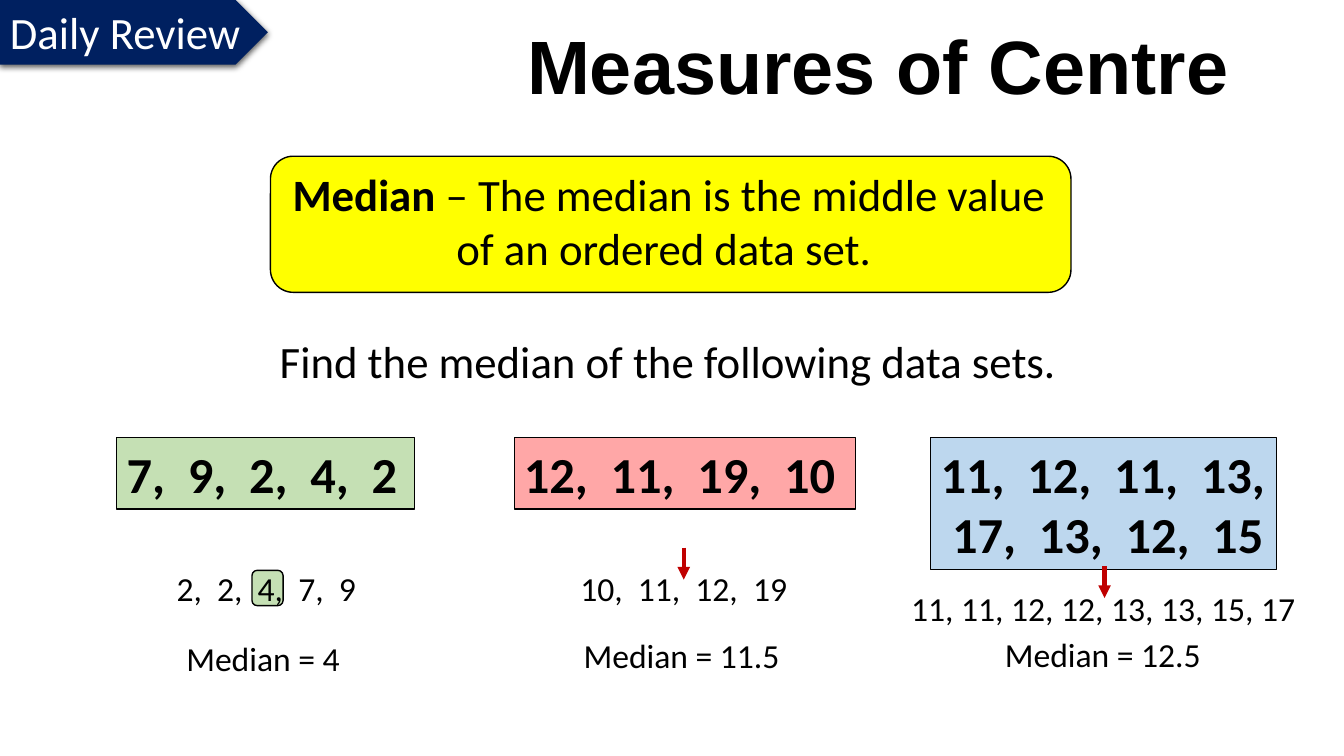
from lxml import etree
from pptx import Presentation
from pptx.dml.color import RGBColor
from pptx.enum.shapes import MSO_CONNECTOR, MSO_SHAPE
from pptx.enum.text import MSO_ANCHOR, MSO_AUTO_SIZE, PP_ALIGN
from pptx.oxml.ns import qn
from pptx.util import Inches, Pt

RECT, ROUND, PENTAGON = MSO_SHAPE.RECTANGLE, MSO_SHAPE.ROUNDED_RECTANGLE, MSO_SHAPE.PENTAGON
STRAIGHT = MSO_CONNECTOR.STRAIGHT
LEFT, CENTER = PP_ALIGN.LEFT, PP_ALIGN.CENTER
TOP = MSO_ANCHOR.TOP
GROW, FIXED = MSO_AUTO_SIZE.SHAPE_TO_FIT_TEXT, MSO_AUTO_SIZE.NONE

COLS, ROWS = 160, 90
CELL = Inches(1) // 12
BLACK, WHITE, NAVY, RED = "000000", "FFFFFF", "002060", "C00000"
GREEN, PINK, BLUE, YELLOW = "C5E0B4", "FFA7A7", "BDD7EE", "FFFF00"


def rgb(value):
    return RGBColor.from_string(value)


class Deck:
    """Draws elements on a slide, with lengths in cells of a 160 by 90 grid."""

    body, heading = "Calibri", "Arial"

    def __init__(self):
        self.prs = Presentation()
        self.prs.slide_width, self.prs.slide_height = self.cells(COLS, ROWS)
        self.s = self.prs.slides.add_slide(self.prs.slide_layouts[6])

    def cells(self, *lengths):
        return [round(n * CELL) for n in lengths]

    def label(self, sp, runs, size, align=LEFT, color=BLACK, font=None,
              wrap=True, fit=GROW, spacing=None):
        tf = sp.text_frame
        tf.word_wrap, tf.auto_size, tf.vertical_anchor = wrap, fit, TOP
        p = tf.paragraphs[0]
        p.alignment, p.line_spacing = align, spacing
        for text, bold in runs:
            r = p.add_run()
            r.text = text
            r.font.name, r.font.size, r.font.bold = font or self.body, Pt(size), bold
            r.font.color.rgb = rgb(color)

    def text(self, at, runs, size, **style):
        sp = self.s.shapes.add_textbox(*self.cells(*at))
        self.label(sp, runs, size, **style)

    def shape(self, kind, at, fill, line=None):
        sp = self.s.shapes.add_shape(kind, *self.cells(*at))
        sp.shadow.inherit = False
        sp.fill.solid()
        sp.fill.fore_color.rgb = rgb(fill)
        if line:
            sp.line.color.rgb, sp.line.width = rgb(BLACK), Pt(line)
        else:
            sp.line.fill.background()
        return sp

    def drop_shadow(self, sp, blur, distance, alpha):
        effects = sp._element.spPr.find(qn("a:effectLst"))
        shadow = etree.SubElement(effects, qn("a:outerShdw"), blurRad=str(Pt(blur)),
                                  dist=str(Pt(distance)), dir="5400000", rotWithShape="0")
        tint = etree.SubElement(shadow, qn("a:srgbClr"), val=BLACK)
        etree.SubElement(tint, qn("a:alpha"), val=str(alpha * 1000))

    def down_arrow(self, x, y, length):
        c = self.s.shapes.add_connector(STRAIGHT, *self.cells(x, y, x, y + length))
        c.line.color.rgb, c.line.width = rgb(RED), Pt(3)
        ln = c._element.spPr.find(qn("a:ln"))
        etree.SubElement(ln, qn("a:tailEnd"), type="triangle")
        etree.SubElement(c._element.spPr, qn("a:effectLst"))


DATA_SETS = [
    ("7,  9,  2,  4,  2", GREEN, (13.9, 52.1, 35.5, 8.5),
     "2,  2,  4,  7,  9", (17.6, 67, 28.2, 6),
     "Median = 4", (21, 75.4, 21.5, 6), LEFT),
    ("12,  11,  19,  10", PINK, (61.2, 52.1, 40.6, 8.5),
     "10,  11,  12,  19", (67.3, 67, 28.2, 6),
     "Median = 11.5", (68.3, 75, 26.3, 6), LEFT),
    ("11,  12,  11,  13,  17,  13,  12,  15", BLUE, (110.8, 52.1, 41.2, 15.7),
     "11, 11, 12, 12, 13, 13, 15, 17", (103.7, 69.4, 55.3, 6),
     "Median = 12.5", (117.8, 74.9, 27, 6), CENTER),
]


def main():
    deck = Deck()
    deck.text((50.2, 2.9, 108.6, 17.4), [("Measures of Centre", True)], 54,
              align=CENTER, font=deck.heading, fit=FIXED, spacing=0.9)

    tag = deck.shape(PENTAGON, (0, 0, 31.9, 7.7), NAVY)
    deck.drop_shadow(tag, 4.5, 1.5, 63)
    deck.label(tag, [("Daily Review", False)], 32, color=WHITE, wrap=False)

    deck.shape(ROUND, (32.2, 18.6, 95.3, 16.2), YELLOW, 1)
    deck.text((32.8, 19.3, 93.7, 14.2),
              [("Median ", True),
               ("– The median is the middle value of an ordered data set. ", False)],
              32, align=CENTER)
    deck.text((28.8, 39.2, 101.5, 7.7),
              [("Find the median of the following data sets.", False)], 32, align=CENTER)

    deck.shape(ROUND, (30, 67.9, 3.7, 4.2), GREEN, 1)
    for data, fill, box, ordered, ordered_at, median, median_at, align in DATA_SETS:
        deck.label(deck.shape(RECT, box, fill, 0.75), [(data, True)], 36)
        deck.text(ordered_at, [(ordered, False)], 24, align=CENTER)
        deck.text(median_at, [(median, False)], 24, align=align)

    for x, y in [(81.4, 65.2), (131.5, 67.4)]:
        deck.down_arrow(x, y, 3.8)

    deck.prs.save("out.pptx")


if __name__ == "__main__":
    main()
